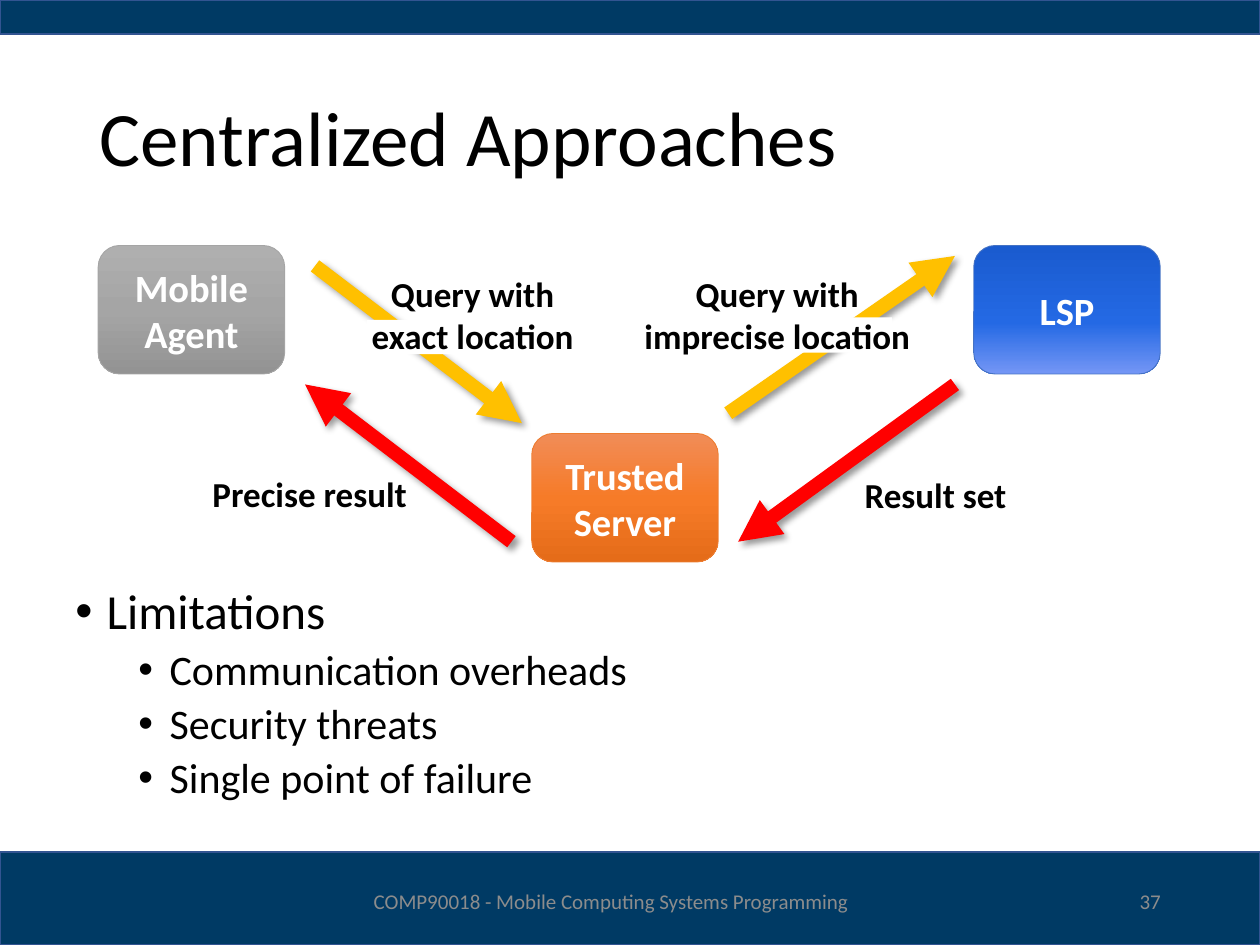
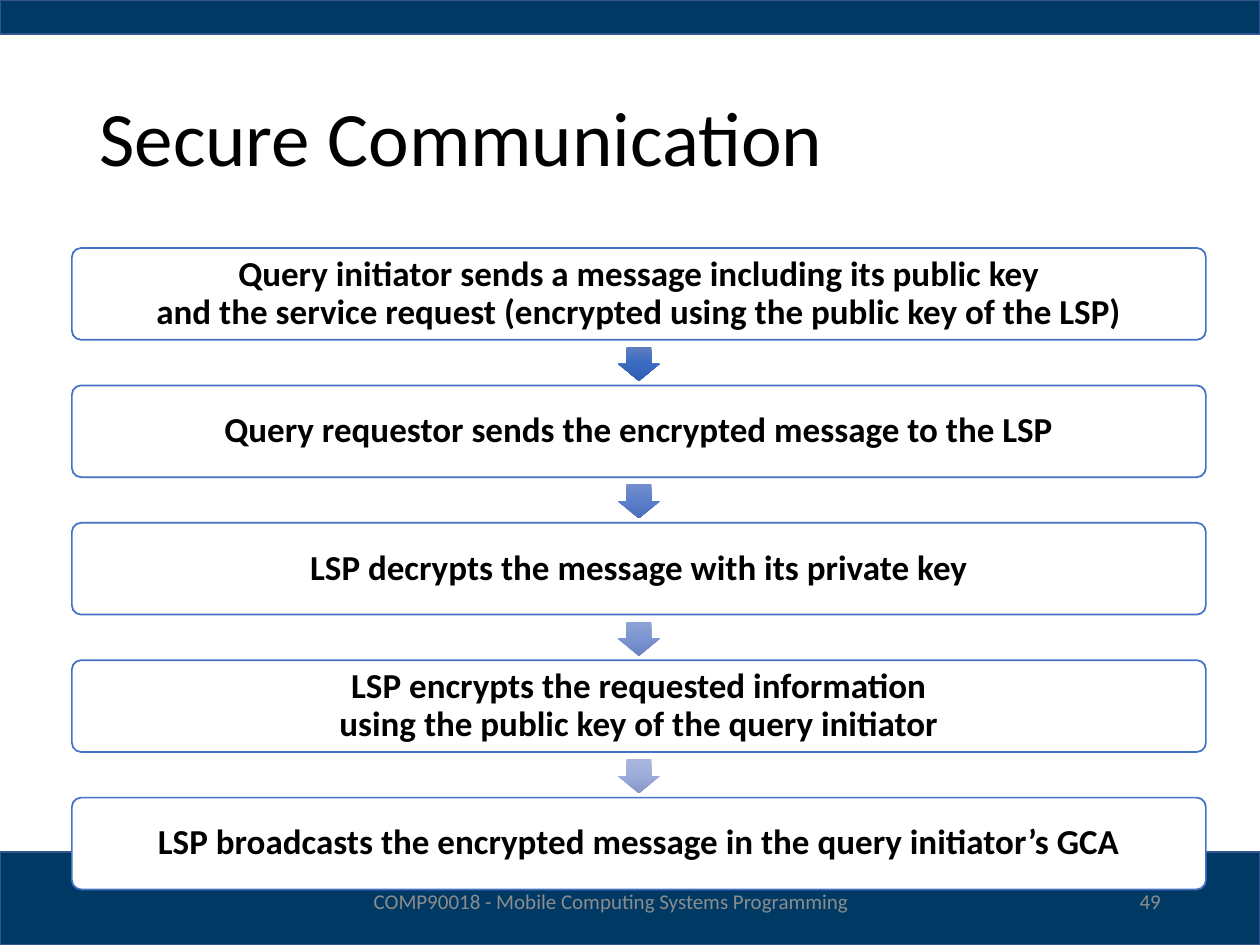
"""Build two slides on location privacy: a centralized scheme and a secure message flow."""
import copy

import pptx
import pptx.dml.color
import pptx.enum.shapes
import pptx.enum.text
import pptx.oxml
import pptx.oxml.ns
import pptx.util

Cm = pptx.util.Cm
Pt = pptx.util.Pt
SHAPE = pptx.enum.shapes.MSO_SHAPE
ALIGN = pptx.enum.text.PP_ALIGN
ANCHOR = pptx.enum.text.MSO_ANCHOR

FONT = "Calibri"
FOOTER = "COMP90018 - Mobile Computing Systems Programming"
COLORS = {
    "band": "003A64",
    "band_line": "325491",
    "text": "000000",
    "paper": "FFFFFF",
    "footer": "8C8C8C",
    "query": "FFC000",
    "result": "FF0000",
    "agent_line": "A5A5A5",
    "server_line": "ED7D31",
    "blue_line": "4472C4",
}
GRADIENTS = {
    "agent": [(0, "AFAFAF"), (0.5, "A5A5A5"), (1, "939393")],
    "server": [(0, "F18C57"), (0.5, "F67B28"), (1, "E56C19")],
    "lsp": [(0, "1A5BCF"), (0.6, "2469E4"), (1, "7496F5")],
}
STEP_GRADIENTS = [
    [(0, "5E7EC4"), (0.5, "3B6BC1"), (1, "2F5EB1")],
    [(0, "758FCC"), (0.5, "5B7FCA"), (1, "4B6FB9")],
    [(0, "8FA3D4"), (0.5, "7C95D2"), (1, "6983BF")],
    [(0, "AAB7DD"), (0.5, "9BACDB"), (1, "8697C6")],
]
SHADOW = (
    '<a:effectLst %s><a:outerShdw blurRad="50800" dist="38100" dir="2700000" algn="tl" '
    'rotWithShape="0"><a:srgbClr val="000000"><a:alpha val="40000"/></a:srgbClr>'
    "</a:outerShdw></a:effectLst>"
)


def rgb(value):
    return pptx.dml.color.RGBColor.from_string(value)


def xml(template):
    return pptx.oxml.parse_xml(template % pptx.oxml.ns.nsdecls("a"))


class Deck:
    def __init__(self):
        self.prs = pptx.Presentation()
        self.prs.slide_width, self.prs.slide_height = Cm(25.4), Cm(19.05)
        self.s = None

    def new_slide(self, title, number):
        self.s = self.prs.slides.add_slide(self.prs.slide_layouts[5])
        for top, height in ((17.17, 1.88), (0, 0.69)):
            self.shape(SHAPE.RECTANGLE, (0, top, 25.4, height), COLORS["band"], "band_line", 1)
        sp = self.s.shapes.title
        sp.left, sp.top, sp.width, sp.height = map(Cm, (1.75, 1.02, 21.89, 3.68))
        self.set_text(sp, title, 44, align=ALIGN.LEFT, anchor=ANCHOR.MIDDLE, spacing=0.9)
        self.text((6.68, 17.65, 11.28, 1.02), FOOTER, 12, "footer", anchor=ANCHOR.MIDDLE)
        self.text((17.93, 17.65, 5.72, 1.02), number, 12, "footer",
                  align=ALIGN.RIGHT, anchor=ANCHOR.MIDDLE)

    def set_text(self, sp, text, size, color="text", bold=False, align=ALIGN.CENTER,
                 anchor=ANCHOR.TOP, spacing=None):
        tf = sp.text_frame
        tf.word_wrap = True
        tf.vertical_anchor = anchor
        tf.text = text
        for p in tf.paragraphs:
            p.alignment = align
            p.line_spacing = spacing
            for r in p.runs:
                r.font.name, r.font.size, r.font.bold = FONT, Pt(size), bold
                r.font.color.rgb = rgb(COLORS[color])

    def text(self, box, text, size, color="text", **style):
        sp = self.s.shapes.add_textbox(*map(Cm, box))
        self.set_text(sp, text, size, color, **style)
        return sp

    def label(self, box, text):
        self.text(box, text, 20, bold=True)

    def shape(self, kind, box, fill, line=None, width=0.5):
        sp = self.s.shapes.add_shape(kind, *map(Cm, box))
        sp.shadow.inherit = False
        if isinstance(fill, list):
            self.gradient(sp, fill)
        else:
            sp.fill.solid()
            sp.fill.fore_color.rgb = rgb(fill)
        if line:
            sp.line.color.rgb = rgb(COLORS[line])
            sp.line.width = Pt(width)
        else:
            sp.line.fill.background()
        return sp

    def gradient(self, sp, stops):
        sp.fill.gradient()
        sp.fill.gradient_angle = 270
        stop_list = sp.element.spPr.find(".//" + pptx.oxml.ns.qn("a:gsLst"))
        stop_list.append(copy.deepcopy(stop_list[0]))
        for stop, (position, color) in zip(sp.fill.gradient_stops, stops):
            stop.position = position
            stop.color.rgb = rgb(color)

    def node(self, left, top, text, name, line):
        sp = self.shape(SHAPE.ROUNDED_RECTANGLE, (left, top, 3.76, 2.59), GRADIENTS[name], line)
        self.set_text(sp, text, 22, "paper", bold=True, anchor=ANCHOR.MIDDLE)

    def arrow(self, points, color):
        sp = self.s.shapes.add_connector(pptx.enum.shapes.MSO_CONNECTOR.STRAIGHT,
                                         *map(Cm, points))
        sp.line.color.rgb = rgb(COLORS[color])
        sp.line.width = Pt(8)
        ln = sp.element.spPr.find(pptx.oxml.ns.qn("a:ln"))
        ln.append(xml('<a:tailEnd %s type="triangle"/>'))
        sp.element.spPr.append(xml(SHADOW))

    def patch(self, box):
        self.shape(SHAPE.RECTANGLE, box, COLORS["paper"])

    def bullets(self, box, heading, items):
        sp = self.text(box, "\n".join([heading, *items]), 24, align=ALIGN.LEFT, spacing=0.9)
        for i, p in enumerate(sp.text_frame.paragraphs):
            p.level = min(i, 1)
            p.space_before = Pt(5 if i else 10)
            pPr = p._p.get_or_add_pPr()
            pPr.set("marL", str(Cm(1.9 if i else 0.63)))
            pPr.set("indent", str(-Cm(0.63)))
            pPr.append(xml('<a:buFont %s typeface="Arial"/>'))
            pPr.append(xml('<a:buChar %s char="•"/>'))
        sp.text_frame.paragraphs[0].runs[0].font.size = Pt(28)

    def steps(self, texts, left=1.45, top=5, width=22.86, height=1.85, pitch=2.77):
        for i, text in enumerate(texts):
            y = top + i * pitch
            sp = self.shape(SHAPE.ROUNDED_RECTANGLE, (left, y, width, height),
                            COLORS["paper"], "blue_line", 1)
            sp.adjustments[0] = 0.1
            self.set_text(sp, text, 20, bold=True, anchor=ANCHOR.MIDDLE, spacing=0.9)
        for i, stops in enumerate(STEP_GRADIENTS):
            y = top + i * pitch + height + 0.14
            sp = self.shape(SHAPE.DOWN_ARROW, (left + width / 2 - 0.42, y, 0.84, 0.69), stops)
            sp.adjustments[0], sp.adjustments[1] = 0.6, 0.5


def centralized(deck):
    deck.new_slide("Centralized Approaches", "37")
    deck.bullets((1.27, 11.71, 22.86, 5.18), "Limitations",
                 ["Communication overheads", "Security threats", "Single point of failure"])
    deck.arrow((6.35, 5.36, 10.52, 8.53), "query")
    deck.arrow((14.68, 8.33, 19.25, 5.16), "query")
    deck.arrow((19.25, 7.75, 14.88, 10.92), "result")
    deck.arrow((10.31, 10.92, 6.15, 7.75), "result")
    deck.patch((7.39, 6.45, 1.75, 0.69))
    deck.patch((15.67, 6.4, 2.31, 0.71))
    deck.label((7.14, 5.36, 4.78, 1.96), "Query with\vexact location")
    deck.label((12.7, 5.36, 5.94, 1.96), "Query with\vimprecise location")
    deck.label((17.07, 9.42, 3.58, 1.09), "Result set")
    deck.label((3.96, 9.4, 4.57, 1.12), "Precise result")
    deck.node(1.98, 4.95, "Mobile Agent", "agent", "agent_line")
    deck.node(10.72, 8.74, "Trusted Server", "server", "server_line")
    deck.node(19.63, 4.95, "LSP", "lsp", "blue_line")


def secure(deck):
    deck.new_slide("Secure Communication", "49")
    deck.steps([
        "Query initiator sends a message including its public key\v"
        "and the service request (encrypted using the public key of the LSP)",
        "Query requestor sends the encrypted message to the LSP",
        "LSP decrypts the message with its private key",
        "LSP encrypts the requested information\vusing the public key of the query initiator",
        "LSP broadcasts the encrypted message in the query initiator’s GCA",
    ])


def main():
    deck = Deck()
    centralized(deck)
    secure(deck)
    deck.prs.save("out.pptx")


if __name__ == "__main__":
    main()
